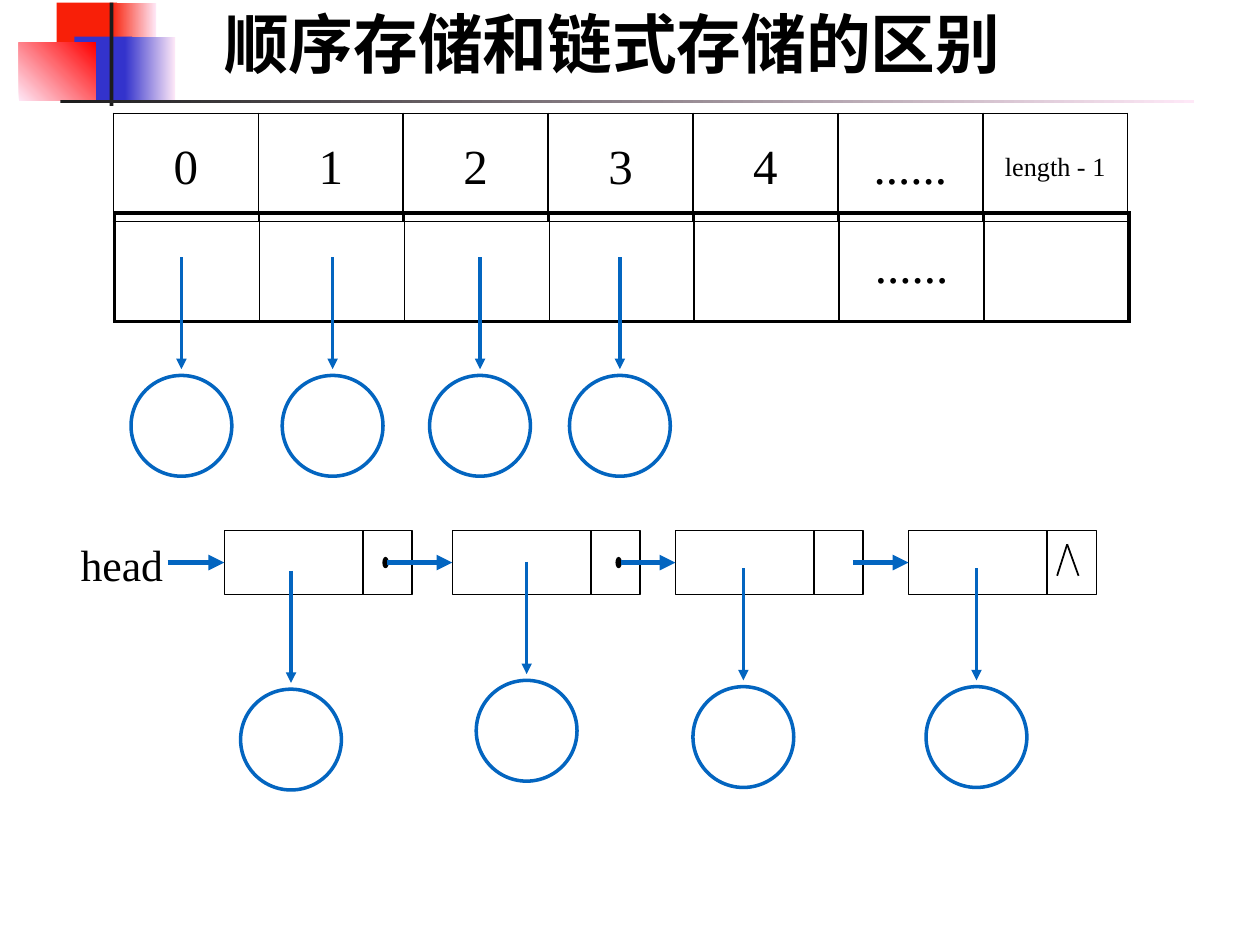
from dataclasses import dataclass
from typing import Any, Optional

import pptx
import pptx.dml.color
import pptx.enum.shapes
import pptx.enum.text
import pptx.oxml
import pptx.oxml.ns
import pptx.util
from lxml import etree

Inches = pptx.util.Inches
Pt = pptx.util.Pt
Shapes = pptx.enum.shapes.MSO_SHAPE
Align = pptx.enum.text.PP_ALIGN
Anchor = pptx.enum.text.MSO_ANCHOR
qn = pptx.oxml.ns.qn

BLACK, WHITE, BLUE = "000000", "FFFFFF", "0365C0"
RED, NAVY, PALE, DARK = "F81F08", "3333CC", "FEE8F7", "1C1C1C"
INSET = Inches(0.06)
MARGINS = {f"margin_{side}": INSET for side in ("left", "top", "right", "bottom")}

# Array tables
COLUMNS, COLUMN_WIDTH, ROW_HEIGHT = 7, 1.15, 0.86
# List nodes
NODE_TOP, NODE_HEIGHT, DATA_WIDTH, LINK_WIDTH = 4.21, 0.51, 1.1, 0.39
NODE_MIDDLE = NODE_TOP + NODE_HEIGHT / 2
# Pointers to elements
POINTER_LENGTH, POINTER_GAP, CIRCLE_SIZE = 0.89, 0.05, 0.8


@dataclass
class Band:
    """A decorative block; end and angle describe an optional gradient."""
    left: float
    top: float
    width: float
    height: float
    color: str
    end: Optional[str] = None
    angle: float = 0


@dataclass
class Node:
    """A list node, its data pointer and the arrow that leads into it."""
    left: float
    pointer_x: float
    pointer_y: float
    arrow_x: float
    dot_x: Optional[float] = None


BANDS = [
    Band(0.45, 0.02, 0.48, 0.52, RED),
    Band(0.88, 0.02, 0.36, 0.52, RED, PALE),
    Band(0.59, 0.29, 0.46, 0.52, NAVY),
    Band(0.99, 0.29, 0.4, 0.52, NAVY, PALE),
    Band(0.15, 0.34, 0.61, 0.46, PALE, "FF0000", 45),
    Band(0.87, 0.02, 0.03, 0.82, DARK),
    Band(0.48, 0.79, 9, 0.03, DARK, PALE),
]
NODES = [
    Node(1.78, 2.31, 4.53, 1.33, 3.04),
    Node(3.59, 4.18, 4.46, 3.07, 4.89),
    Node(5.36, 5.9, 4.51, 4.93),
    Node(7.21, 7.75, 4.51, 6.77),
]
ARRAY_POINTERS = [1.44, 2.64, 3.81, 4.92]


def color(value: str) -> pptx.dml.color.RGBColor:
    return pptx.dml.color.RGBColor.from_string(value)


def assign(target: Any, values: dict) -> None:
    for name, value in values.items():
        setattr(target, name, value)


def write(frame: Any, text: str, size: float, align: Any, bold: bool = False) -> None:
    para = frame.paragraphs[0]
    para.alignment = align
    span = para.add_run()
    span.text = text
    assign(span.font, {"name": "Times New Roman", "size": Pt(size), "bold": bold})
    span.font.color.rgb = color(BLACK)


def add_text(page: Any, left: float, top: float, width: float, height: float,
             text: str, size: float, **options: Any) -> None:
    box = page.shapes.add_textbox(Inches(left), Inches(top), Inches(width), Inches(height))
    frame = box.text_frame
    assign(frame, MARGINS | {"word_wrap": options.get("wrap", True),
                             "vertical_anchor": options.get("anchor", Anchor.TOP)})
    write(frame, text, size, options.get("align", Align.LEFT), options.get("bold", False))


def add_shape(page: Any, kind: Any, left: float, top: float, width: float, height: float,
              fill: str = WHITE, line: Optional[str] = None, weight: float = 0.75) -> Any:
    shape = page.shapes.add_shape(kind, Inches(left), Inches(top), Inches(width), Inches(height))
    shape.shadow.inherit = False
    shape.fill.solid()
    shape.fill.fore_color.rgb = color(fill)
    if line:
        shape.line.color.rgb = color(line)
        shape.line.width = Pt(weight)
    else:
        shape.line.fill.background()
    return shape


def add_line(page: Any, x1: float, y1: float, x2: float, y2: float,
             line: str = BLUE, weight: float = 2, arrow: bool = True) -> Any:
    connector = page.shapes.add_connector(
        pptx.enum.shapes.MSO_CONNECTOR.STRAIGHT, Inches(x1), Inches(y1), Inches(x2), Inches(y2))
    connector.line.color.rgb = color(line)
    connector.line.width = Pt(weight)
    if arrow:
        etree.SubElement(connector.line._get_or_add_ln(), qn("a:tailEnd"), type="triangle")
    etree.SubElement(connector._element.spPr, qn("a:effectLst"))
    return connector


def add_band(page: Any, band: Band) -> None:
    shape = add_shape(page, Shapes.RECTANGLE, band.left, band.top, band.width, band.height, band.color)
    if band.end:
        shape.fill.gradient()
        shape.fill.gradient_angle = band.angle
        for stop, value in zip(shape.fill.gradient_stops, (band.color, band.end)):
            stop.color.rgb = color(value)


def set_border(cell: Any, side: str, weight: float) -> None:
    border = etree.SubElement(cell._tc.get_or_add_tcPr(), qn(f"a:ln{side}"), w=str(Pt(weight)))
    solid = etree.SubElement(border, qn("a:solidFill"))
    etree.SubElement(solid, qn("a:srgbClr"), val=BLACK)


def add_array(page: Any, left: float, top: float, texts: dict[int, str], outer: float) -> None:
    table = page.shapes.add_table(1, COLUMNS, Inches(left), Inches(top),
                                  Inches(COLUMNS * COLUMN_WIDTH), Inches(ROW_HEIGHT)).table
    assign(table, {"first_row": False, "horz_banding": False})
    table.rows[0].height = Inches(ROW_HEIGHT)
    for index in range(COLUMNS):
        table.columns[index].width = Inches(COLUMN_WIDTH)
        cell = table.cell(0, index)
        assign(cell, MARGINS | {"vertical_anchor": Anchor.MIDDLE})
        set_border(cell, "L", outer if index == 0 else 1)
        set_border(cell, "R", outer if index == COLUMNS - 1 else 1)
        set_border(cell, "T", outer)
        set_border(cell, "B", outer)
        cell.fill.background()
        if index in texts:
            text = texts[index]
            write(cell.text_frame, text, 15 if "length" in text else 28, Align.CENTER)


def add_pointer(page: Any, x: float, y: float) -> None:
    end = y + POINTER_LENGTH
    add_shape(page, Shapes.OVAL, x - CIRCLE_SIZE / 2, end + POINTER_GAP,
              CIRCLE_SIZE, CIRCLE_SIZE, line=BLUE, weight=2)
    add_line(page, x, y, x, end)


def add_node(page: Any, node: Node) -> Any:
    data = add_shape(page, Shapes.RECTANGLE, node.left, NODE_TOP, DATA_WIDTH, NODE_HEIGHT, line=BLACK)
    add_shape(page, Shapes.RECTANGLE, node.left + DATA_WIDTH, NODE_TOP,
              LINK_WIDTH, NODE_HEIGHT, line=BLACK)
    if node.dot_x:
        add_shape(page, Shapes.OVAL, node.dot_x, NODE_MIDDLE - 0.04, 0.04, 0.08, BLACK, BLACK)
    add_pointer(page, node.pointer_x, node.pointer_y)
    return data


def main() -> None:
    deck = pptx.Presentation()
    assign(deck, {"slide_width": Inches(10), "slide_height": Inches(7.5)})
    page = deck.slides.add_slide(deck.slide_layouts[6])

    # Decoration and title
    for band in BANDS:
        add_band(page, band)
    add_text(page, 0.93, -0.03, 7.86, 0.83, "顺序存储和链式存储的区别", 37,
             align=Align.CENTER, bold=True)

    # Sequential storage: values below, indexes above
    add_array(page, 0.91, 1.69, {5: "......"}, 2.25)
    add_array(page, 0.9, 0.9, dict(enumerate(["0", "1", "2", "3", "4", "......", "length - 1"])), 1)
    for x in ARRAY_POINTERS:
        add_pointer(page, x, 2.04)

    # Linked storage: nodes first, then the arrows into them
    targets = [add_node(page, node) for node in NODES]
    for node, target in zip(NODES, targets):
        arrow = add_line(page, node.arrow_x, NODE_MIDDLE, node.left, NODE_MIDDLE, weight=3)
        arrow.end_connect(target, 1)
    for foot in (8.39, 8.56):
        add_line(page, 8.47, 4.32, foot, 4.57, BLACK, 1, arrow=False)
    add_text(page, 0.58, 4.23, 0.78, 0.49, "head", 25, wrap=False, anchor=Anchor.MIDDLE)

    deck.save("out.pptx")


if __name__ == "__main__":
    main()
